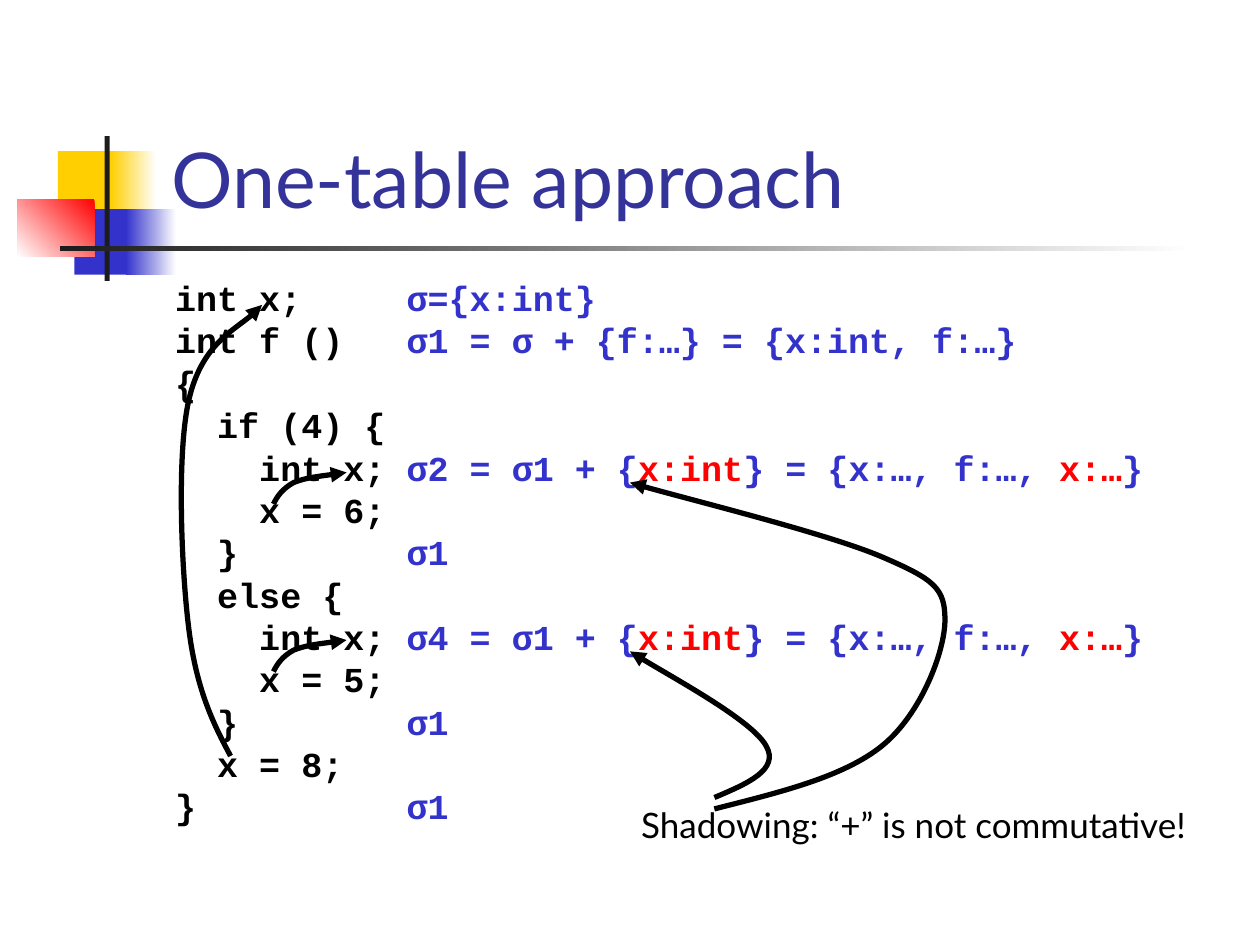
from dataclasses import dataclass

from pptx import Presentation
from pptx import util as u
from pptx.dml.color import RGBColor
from pptx.enum import shapes, text
from pptx.oxml import parse_xml
from pptx.oxml.ns import nsdecls, qn

COLORS = {
    "white": "FFFFFF", "black": "000000", "ink": "1C1C1C", "yellow": "FFCF01",
    "blue": "3333CC", "red": "FF0000", "title": "333399",
}

Point = tuple[float, float]


@dataclass
class Block:
    """Decorative rectangle; an end color makes it a gradient."""
    left: float
    top: float
    width: float
    height: float
    color: str
    end: str = ""
    angle: float = 180


@dataclass
class Arrow:
    """Start point followed by the control and end points of each curve."""
    points: list[Point]


def rgb(name: str) -> RGBColor:
    return RGBColor.from_string(COLORS[name])


def draw_block(page, block: Block) -> None:
    box = page.shapes.add_shape(
        shapes.MSO_SHAPE.RECTANGLE,
        *(u.Inches(v) for v in (block.left, block.top, block.width, block.height)))
    box.shadow.inherit = False
    box.line.fill.background()
    if block.end:
        box.fill.gradient()
        box.fill.gradient_angle = block.angle
        for stop, name in zip(box.fill.gradient_stops, (block.color, block.end)):
            stop.color.rgb = rgb(name)
    else:
        box.fill.solid()
        box.fill.fore_color.rgb = rgb(block.color)


def bend_segments(curve) -> None:
    """Turn each three straight segments into one cubic curve."""
    outline = next(curve._element.iter(qn("a:path")))
    segments = outline.findall(qn("a:lnTo"))
    for first in range(0, len(segments), 3):
        bend = parse_xml(f'<a:cubicBezTo {nsdecls("a")}/>')
        outline.append(bend)
        for segment in segments[first:first + 3]:
            bend.append(segment[0])
            outline.remove(segment)


def draw_arrow(page, arrow: Arrow) -> None:
    start, *others = [(u.Inches(x), u.Inches(y)) for x, y in arrow.points]
    builder = page.shapes.build_freeform(*start)
    builder.add_line_segments(others, close=False)
    curve = builder.convert_to_shape()
    bend_segments(curve)
    curve.shadow.inherit = False
    curve.fill.background()
    curve.line.color.rgb = rgb("black")
    curve.line.width = u.Pt(3)
    curve.line._get_or_add_ln().append(
        parse_xml(f'<a:tailEnd {nsdecls("a")} type="triangle"/>'))


def place(box, left: float, top: float, width: float, height: float) -> None:
    box.left, box.top = u.Inches(left), u.Inches(top)
    box.width, box.height = u.Inches(width), u.Inches(height)


def style(span, font: str, size: float, color: str, bold: bool = False) -> None:
    span.font.name = font
    span.font.size = u.Pt(size)
    span.font.bold = bold
    span.font.color.rgb = rgb(color)


def write_code(frame, lines: list[list[tuple[str, str]]]) -> None:
    for index, parts in enumerate(lines):
        para = frame.paragraphs[0] if index == 0 else frame.add_paragraph()
        para.line_spacing = 0.8
        para.space_before = u.Pt(5)
        props = para._p.get_or_add_pPr()
        props.set("marL", str(u.Inches(0.38)))
        props.set("indent", str(u.Inches(-0.38)))
        props.append(parse_xml(f'<a:buNone {nsdecls("a")}/>'))
        for words, color in parts:
            span = para.add_run()
            span.text = words
            style(span, "Courier New", 20, color, bold=True)


def code_line(code: str, table: str = "") -> list[tuple[str, str]]:
    """Pad the code to the column of the symbol table."""
    if not table:
        return [(code, "black")]
    return [(f"{code:<11}", "black"), (table, "blue")]


def shadowing_line(table: str) -> list[tuple[str, str]]:
    return code_line("    int x;", f"{table} = σ1 + {{") + [
        ("x:int", "red"), ("} = {x:…, f:…, ", "blue"), ("x:…", "red"), ("}", "blue")]


BLOCKS = [
    Block(0.46, 1.2, 0.48, 0.52, "yellow"),
    Block(0.88, 1.2, 0.36, 0.52, "white", "yellow"),
    Block(0.59, 1.66, 0.46, 0.52, "blue"),
    Block(1, 1.66, 0.4, 0.52, "white", "blue"),
    Block(0.14, 1.58, 0.61, 0.46, "red", "white", 225),
    Block(0.83, 1.08, 0.04, 1.15, "ink"),
    Block(0.48, 1.95, 9, 0.04, "white", "ink"),
]

CODE = [
    code_line("int x;", "σ={x:int}"),
    code_line("int f ()", "σ1 = σ + {f:…} = {x:int, f:…}"),
    code_line("{"),
    code_line("  if (4) {"),
    shadowing_line("σ2"),
    code_line("    x = 6;"),
    code_line("  }", "σ1"),
    code_line("  else {"),
    shadowing_line("σ4"),
    code_line("    x = 5;"),
    code_line("  }", "σ1"),
    code_line("  x = 8;"),
    code_line("}", "σ1"),
]


def inner_use(top: float) -> Arrow:
    """Arrow from a use of x up to the declaration one line above."""
    return Arrow([(2.17, top + 0.25), (2.2, top + 0.19), (2.24, top + 0.13),
                  (2.33, top + 0.08), (2.43, top + 0.04), (2.68, top + 0.01), (2.75, top)])


ARROWS = [
    Arrow([(5.67, 6.42), (6.18, 6.29), (6.69, 6.17), (7, 5.92),
           (7.31, 5.67), (7.5, 5.17), (7.5, 4.92),
           (7.5, 4.67), (7.42, 4.6), (7, 4.42),
           (6.58, 4.24), (5.33, 3.93), (5, 3.83)]),
    Arrow([(5.67, 6.33), (5.93, 6.22), (6.19, 6.11), (6.08, 5.92),
           (5.97, 5.72), (5.18, 5.29), (5, 5.17)]),
    inner_use(3.75),
    inner_use(5.08),
    Arrow([(1.83, 6), (1.69, 5.74), (1.56, 5.47), (1.5, 5),
           (1.44, 4.53), (1.4, 3.6), (1.5, 3.17),
           (1.6, 2.74), (1.99, 2.54), (2.08, 2.42)]),
]


def main() -> None:
    deck = Presentation()
    deck.slide_width, deck.slide_height = u.Inches(10), u.Inches(7.5)
    page = deck.slides.add_slide(deck.slide_layouts[1])

    # Corner decoration
    for block in BLOCKS:
        draw_block(page, block)

    # Title
    title = page.shapes.title
    place(title, 1.26, 0.23, 8.52, 1.6)
    title.text_frame.text = "One-table approach"
    title.text_frame.vertical_anchor = text.MSO_ANCHOR.BOTTOM
    title.text_frame.auto_size = text.MSO_AUTO_SIZE.NONE
    heading = title.text_frame.paragraphs[0]
    heading.alignment = text.PP_ALIGN.LEFT
    style(heading.runs[0], "Lato", 44, "title")

    # Code with its symbol tables
    body = page.placeholders[1]
    place(body, 1.29, 2.21, 8.5, 4.5)
    body.text_frame.auto_size = text.MSO_AUTO_SIZE.NONE
    write_code(body.text_frame, CODE)

    # Remark
    remark = page.shapes.add_textbox(
        u.Inches(4.99), u.Inches(6.33), u.Inches(4.82), u.Inches(0.44))
    remark.text_frame.word_wrap = False
    remark.text_frame.auto_size = text.MSO_AUTO_SIZE.SHAPE_TO_FIT_TEXT
    remark.text_frame.text = "Shadowing: “+” is not commutative!"
    style(remark.text_frame.paragraphs[0].runs[0], "Lato", 20, "black")

    # Arrows
    for arrow in ARROWS:
        draw_arrow(page, arrow)

    deck.save("out.pptx")


if __name__ == "__main__":
    main()
